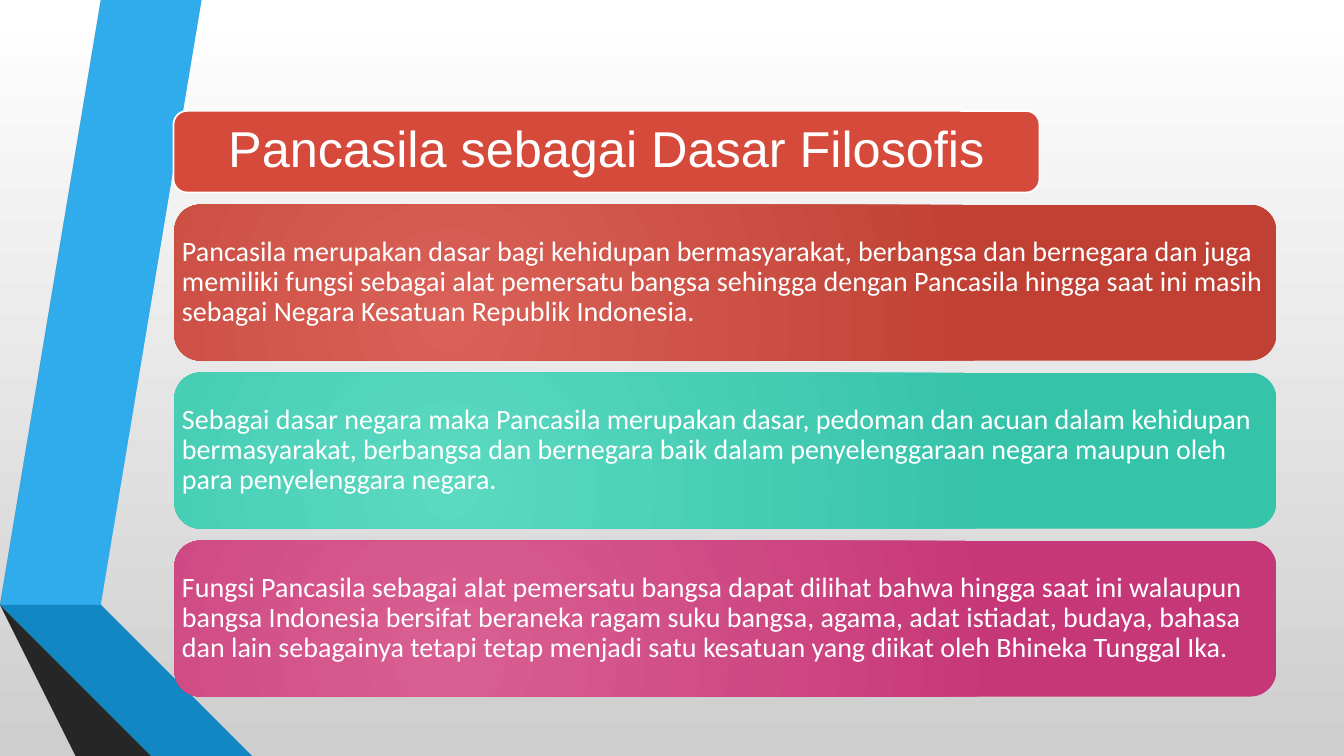
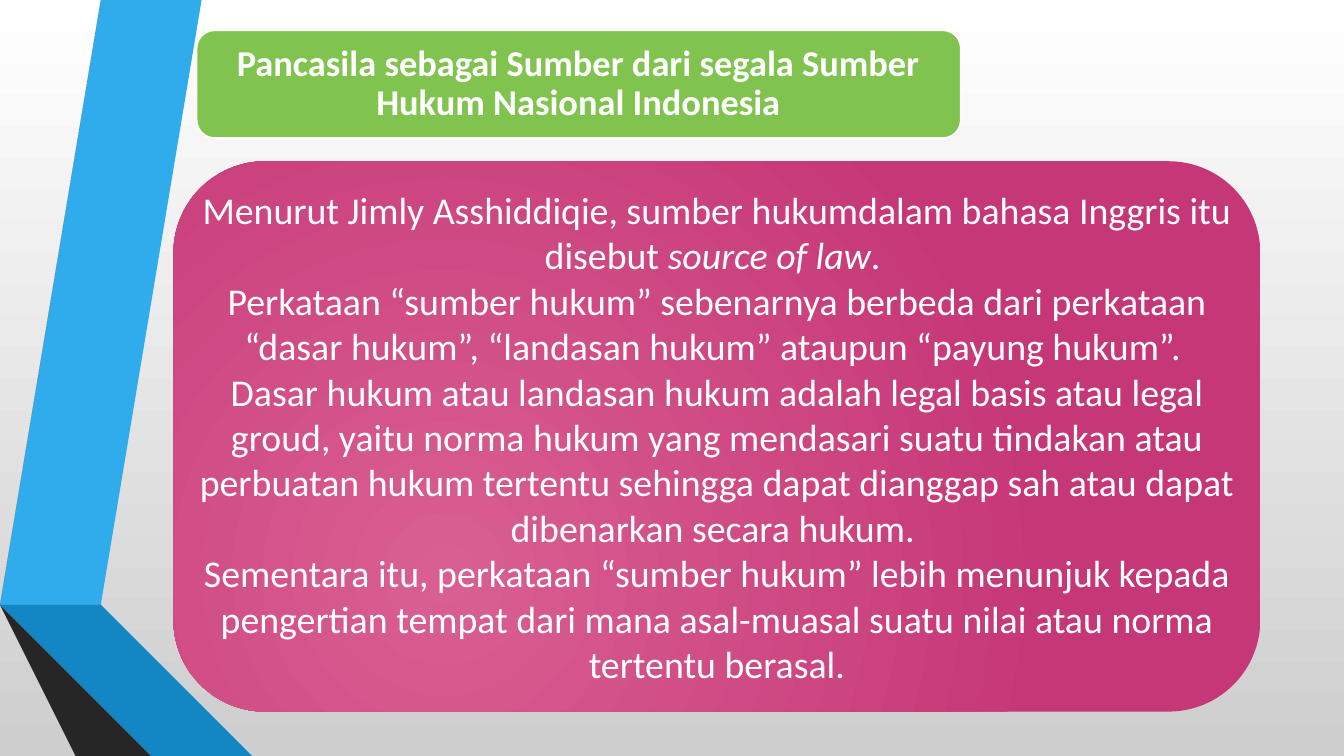
from lxml import etree
from pptx import Presentation
from pptx.dml.color import RGBColor
from pptx.enum.shapes import MSO_SHAPE
from pptx.enum.text import MSO_ANCHOR, MSO_AUTO_SIZE, PP_ALIGN
from pptx.oxml.ns import qn
from pptx.util import Inches, Pt

ROUND_RECT = MSO_SHAPE.ROUNDED_RECTANGLE
MIDDLE = MSO_ANCHOR.MIDDLE
NO_FIT = MSO_AUTO_SIZE.NONE
LEFT, CENTER = PP_ALIGN.LEFT, PP_ALIGN.CENTER
TITLE_AND_BODY, TITLE_ONLY = 1, 5

WHITE = "FFFFFF"
RED, GREEN = "D64A3B", "80C34F"
PAGE = (WHITE, "CECECE")
RED_GLOW = ("D96157", "C04033")
TEAL_GLOW = ("5BD9C1", "35C3AA")
PINK_GLOW = ("D95F92", "C63777")

# Folded ribbons down the left edge: colour, outline in inches
RIBBONS = [
    ("30ACEC", [(0.5, 5.78), (0.77, 5.83), (1.73, 0), (1.45, 0)]),
    ("595959", [(1.39, 0), (1.11, 0), (0.16, 5.73), (0.44, 5.77)]),
    ("262626", [(0.16, 5.73), (1.45, 7.5), (1.51, 7.5)]),
    ("0C5A82", [(0.5, 5.79), (2.08, 7.5), (2.14, 7.5)]),
    ("1287C3", [(0.5, 5.79), (2.14, 7.5), (2.83, 7.5), (0.77, 5.83), (0.5, 5.78)]),
    ("404040", [(2.02, 7.5), (0.48, 5.83), (0.43, 5.78), (0.44, 5.77),
                (0.16, 5.73), (1.51, 7.5)]),
]

CARDS = [
    (RED_GLOW, "Pancasila merupakan dasar bagi kehidupan bermasyarakat, berbangsa dan "
     "bernegara dan juga memiliki fungsi sebagai alat pemersatu bangsa sehingga dengan "
     "Pancasila hingga saat ini masih sebagai Negara Kesatuan Republik Indonesia."),
    (TEAL_GLOW, "Sebagai dasar negara maka Pancasila merupakan dasar, pedoman dan acuan "
     "dalam kehidupan bermasyarakat, berbangsa dan bernegara baik dalam penyelenggaraan "
     "negara maupun oleh para penyelenggara negara."),
    (PINK_GLOW, "Fungsi Pancasila sebagai alat pemersatu bangsa dapat dilihat bahwa hingga "
     "saat ini walaupun bangsa Indonesia bersifat beraneka ragam suku bangsa, agama, adat "
     "istiadat, budaya, bahasa dan lain sebagainya tetapi tetap menjadi satu kesatuan yang "
     "diikat oleh Bhineka Tunggal Ika."),
]

# Asterisks enclose italic words
LAW_SOURCES = [
    "Menurut Jimly Asshiddiqie, sumber hukumdalam bahasa Inggris itu disebut "
    "*source of law*. ",
    "Perkataan “sumber hukum” sebenarnya berbeda dari perkataan “dasar hukum”, "
    "“landasan hukum” ataupun “payung hukum”. ",
    "Dasar hukum atau landasan hukum adalah legal basis atau legal groud, yaitu norma "
    "hukum yang mendasari suatu tindakan atau perbuatan hukum tertentu sehingga dapat "
    "dianggap sah atau dapat dibenarkan secara hukum. ",
    "Sementara itu, perkataan “sumber hukum” lebih menunjuk kepada pengertian tempat "
    "dari mana asal-muasal suatu nilai atau norma tertentu berasal.",
]


def rgb(hex_color):
    return RGBColor.from_string(hex_color)


def gradient(fill, colors):
    fill.gradient()
    for stop, color, position in zip(fill.gradient_stops, colors, (0, 1)):
        stop.color.rgb = rgb(color)
        stop.position = position


def place(shape, box):
    shape.left, shape.top, shape.width, shape.height = map(Inches, box)


def write(shape, paragraphs, size, align, inset=0, font="Calibri", bold=False, spacing=0.9):
    tf = shape.text_frame
    tf.word_wrap = True
    tf.auto_size = NO_FIT
    tf.vertical_anchor = MIDDLE
    tf.margin_left = tf.margin_right = tf.margin_top = tf.margin_bottom = Inches(inset)
    for i, text in enumerate(paragraphs):
        p = tf.add_paragraph() if i else tf.paragraphs[0]
        p.alignment, p.line_spacing = align, spacing
        p.space_before = p.space_after = Pt(0)
        for j, part in enumerate(text.split("*")):
            r = p.add_run()
            r.text = part
            r.font.name, r.font.size, r.font.bold = font, Pt(size), bold
            r.font.italic = j % 2 == 1
            r.font.color.rgb = rgb(WHITE)


def rounded(s, box):
    sp = s.shapes.add_shape(ROUND_RECT, *map(Inches, box))
    sp.shadow.inherit = False
    sp.line.fill.background()
    return sp


def glow_panel(s, box, colors):
    """Rounded panel with a radial gradient."""
    sp = rounded(s, box)
    gradient(sp.fill, colors)
    lin = sp._element.spPr.find(".//" + qn("a:lin"))
    radial = etree.Element(qn("a:path"), {"path": "circle"})
    etree.SubElement(radial, qn("a:fillToRect"),
                     {"l": "50000", "t": "100000", "r": "100000", "b": "50000"})
    lin.getparent().replace(lin, radial)
    return sp


def title_banner(s, box, text, color, **style):
    sp = rounded(s, box)
    sp.fill.solid()
    sp.fill.fore_color.rgb = rgb(color)
    sp.line.color.rgb = rgb(WHITE)
    sp.line.width = Pt(1.25)
    # Title placeholder goes in front of its banner
    title = s.shapes.title
    s.shapes._spTree.append(title._element)
    place(title, box)
    write(title, [text], align=CENTER, **style)


def dress_master(master, s):
    """Give the master its background and the ribbons, drawn by way of s."""
    gradient(master.background.fill, PAGE)
    master.background.fill.gradient_angle = 270
    for i, (color, points) in enumerate(RIBBONS):
        builder = s.shapes.build_freeform(*points[0], scale=Inches(1))
        builder.add_line_segments(points[1:], close=True)
        sp = builder.convert_to_shape()
        sp.shadow.inherit = False
        sp.fill.solid()
        sp.fill.fore_color.rgb = rgb(color)
        sp.line.fill.background()
        sp._element.nvSpPr.cNvPr.set("id", str(100 + i))
        master.shapes._spTree.append(sp._element)


def card_stack(s, box, cards, gap):
    left, top, width, height = box
    card_height = (height - gap * (len(cards) - 1)) / len(cards)
    for i, (colors, text) in enumerate(cards):
        y = top + i * (card_height + gap)
        sp = glow_panel(s, (left, y, width, card_height), colors)
        write(sp, [text], 20, LEFT)


def body_panel(s, box, paragraphs):
    glow_panel(s, box, PINK_GLOW)
    body = s.placeholders[1]
    s.shapes._spTree.append(body._element)
    place(body, box)
    write(body, paragraphs, 27, CENTER, inset=0.11, spacing=1)
    # No bullets or hanging indent
    for p in body.text_frame.paragraphs:
        pPr = p._p.get_or_add_pPr()
        pPr.set("marL", "0")
        pPr.set("indent", "0")
        etree.SubElement(pPr, qn("a:buNone"))


def main():
    prs = Presentation()
    prs.slide_width, prs.slide_height = Inches(13.33), Inches(7.5)

    # Philosophical basis
    s = prs.slides.add_slide(prs.slide_layouts[TITLE_ONLY])
    dress_master(prs.slide_master, s)
    title_banner(s, (1.72, 1.1, 8.59, 0.81), "Pancasila sebagai Dasar Filosofis", RED,
                 size=36, font="Arial", inset=0.15)
    card_stack(s, (1.73, 2.03, 10.93, 4.88), CARDS, gap=0.12)

    # Source of law
    s = prs.slides.add_slide(prs.slide_layouts[TITLE_AND_BODY])
    title_banner(s, (1.95, 0.3, 7.58, 1.07),
                 "Pancasila sebagai Sumber dari segala Sumber Hukum Nasional Indonesia",
                 GREEN, size=26, bold=True, inset=0.11)
    body_panel(s, (1.72, 1.6, 10.78, 5.46), LAW_SOURCES)

    prs.save("out.pptx")


if __name__ == "__main__":
    main()
